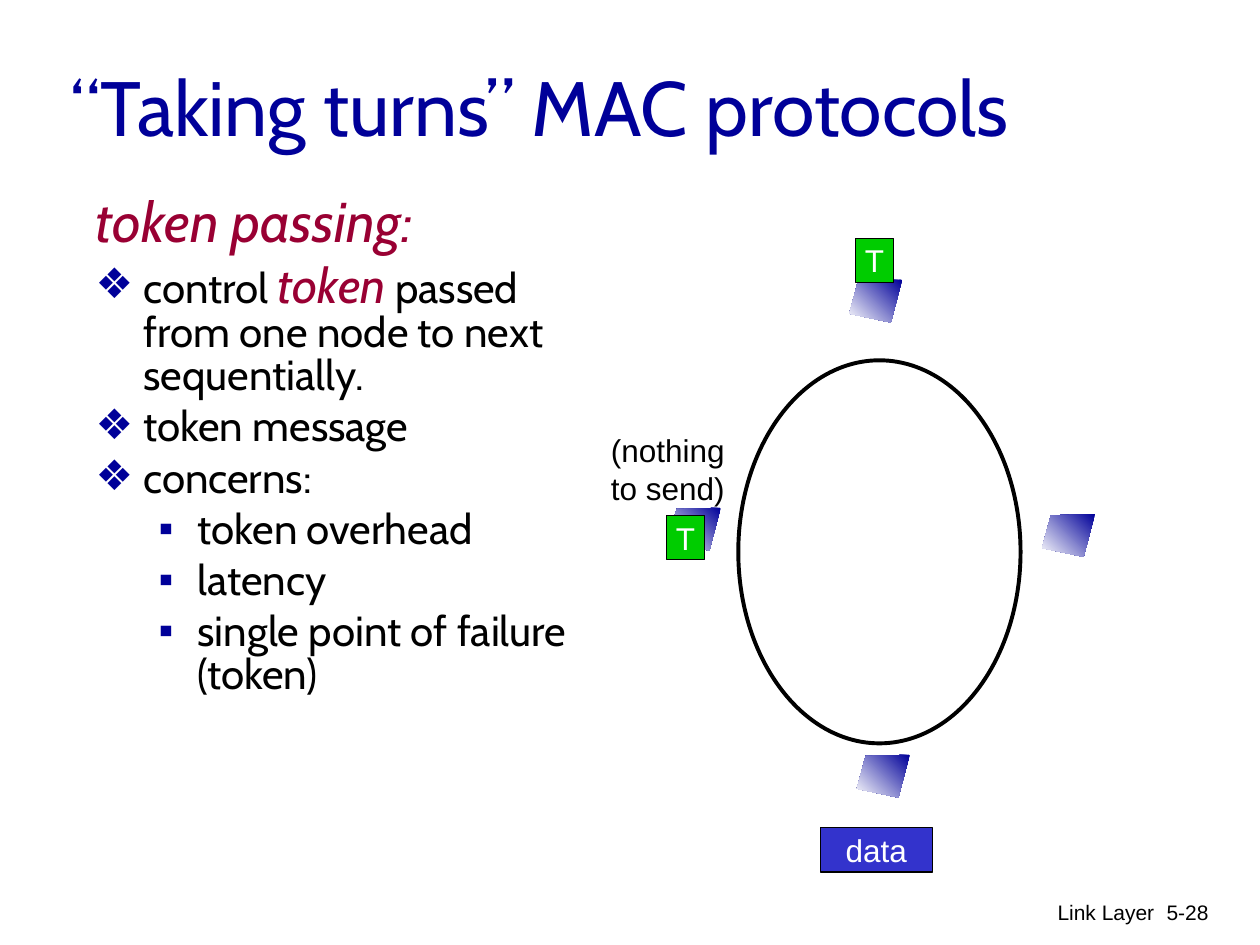
import pptx
import pptx.dml.color
import pptx.enum.shapes
import pptx.enum.text
import pptx.oxml.ns
import pptx.util
from lxml import etree

Inches = pptx.util.Inches
Pt = pptx.util.Pt
RGBColor = pptx.dml.color.RGBColor
Align = pptx.enum.text.PP_ALIGN
Anchor = pptx.enum.text.MSO_ANCHOR
Preset = pptx.enum.shapes.MSO_SHAPE

NAVY = RGBColor(0x00, 0x00, 0x99)
CRIMSON = RGBColor(0x99, 0x00, 0x33)
GREEN = RGBColor(0x00, 0xCC, 0x00)
BLUE = RGBColor(0x33, 0x33, 0xCC)
BLACK = RGBColor(0x00, 0x00, 0x00)
WHITE = RGBColor(0xFF, 0xFF, 0xFF)


class SlideBuilder:
    heading_font = "Cabin"
    label_font = "Arial"
    node_outline = [(0.42, 0), (0.07, 0.01), (0, 0.27), (0.33, 0.34)]

    def __init__(self, slide):
        self.slide = slide

    def run(self, paragraph, text, size, color, font, italic=False):
        run = paragraph.add_run()
        run.text = text
        run.font.size = Pt(size)
        run.font.name = font
        run.font.italic = italic
        run.font.color.rgb = color

    def frame(self, left, top, width, height, anchor=Anchor.TOP):
        box = self.slide.shapes.add_textbox(
            Inches(left), Inches(top), Inches(width), Inches(height))
        box.text_frame.word_wrap = True
        box.text_frame.vertical_anchor = anchor
        return box.text_frame

    def label(self, bounds, lines, size, align=Align.LEFT):
        frame = self.frame(*bounds)
        for index, line in enumerate(lines):
            paragraph = frame.add_paragraph() if index else frame.paragraphs[0]
            paragraph.alignment = align
            self.run(paragraph, line, size, BLACK, self.label_font)

    def title(self, bounds, text):
        frame = self.frame(*bounds, anchor=Anchor.MIDDLE)
        self.run(frame.paragraphs[0], text, 44, NAVY, self.heading_font)

    def bullet(self, paragraph, character, margin, indent):
        properties = paragraph._p.get_or_add_pPr()
        properties.set("marL", str(Inches(margin)))
        properties.set("indent", str(Inches(-indent)))
        qn = pptx.oxml.ns.qn
        if not character:
            etree.SubElement(properties, qn("a:buNone"))
            return
        color = etree.SubElement(properties, qn("a:buClr"))
        etree.SubElement(color, qn("a:srgbClr")).set("val", str(NAVY))
        etree.SubElement(properties, qn("a:buFont")).set("typeface", self.label_font)
        etree.SubElement(properties, qn("a:buChar")).set("char", character)

    def outline(self, bounds, items):
        frame = self.frame(*bounds)
        styles = {"heading": ("", 0.38, 0.38),
                  "point": ("❖", 0.38, 0.38),
                  "detail": ("▪", 0.81, 0.31)}
        for index, (style, space, runs) in enumerate(items):
            paragraph = frame.add_paragraph() if index else frame.paragraphs[0]
            self.bullet(paragraph, *styles[style])
            paragraph.level = 1 if style == "detail" else 0
            paragraph.line_spacing = 0.85
            paragraph.space_before = Pt(space)
            for text, size, color in runs:
                self.run(paragraph, text, size, color, self.heading_font,
                         italic=color == CRIMSON)

    def node(self, left, top):
        points = [(Inches(left + x), Inches(top + y)) for x, y in self.node_outline]
        builder = self.slide.shapes.build_freeform(*points[0], scale=1.0)
        builder.add_line_segments(points[1:], close=True)
        node = builder.convert_to_shape()
        node.shadow.inherit = False
        node.line.fill.background()
        node.fill.gradient()
        node.fill.gradient_angle = 225
        for stop, color, position in zip(node.fill.gradient_stops, (NAVY, WHITE), (0, 1)):
            stop.color.rgb = color
            stop.position = position

    def preset(self, kind, left, top, width, height, line_width):
        shape = self.slide.shapes.add_shape(
            kind, Inches(left), Inches(top), Inches(width), Inches(height))
        shape.shadow.inherit = False
        shape.line.color.rgb = BLACK
        shape.line.width = Pt(line_width)
        return shape

    def ring(self, *bounds):
        self.preset(Preset.OVAL, *bounds, 2.25).fill.background()

    def packet(self, left, top, width, text, color):
        packet = self.preset(Preset.RECTANGLE, left, top, width, 0.35, 0.75)
        packet.fill.solid()
        packet.fill.fore_color.rgb = color
        packet.text_frame.word_wrap = False
        packet.text_frame.vertical_anchor = Anchor.MIDDLE
        paragraph = packet.text_frame.paragraphs[0]
        paragraph.alignment = Align.CENTER
        self.run(paragraph, text, 18, WHITE, self.label_font)


def main():
    deck = pptx.Presentation()
    deck.slide_width = Inches(10)
    deck.slide_height = Inches(7.5)
    builder = SlideBuilder(deck.slides.add_slide(deck.slide_layouts[6]))

    builder.label((6.09, 7.09, 3.17, 0.5), ["Link Layer"], 12, Align.RIGHT)
    builder.label((8.95, 7.09, 0.74, 0.5), ["5-28"], 12, Align.RIGHT)
    for left, top in [(8.27, 4.08), (5.3, 4.03), (6.74, 2.22), (6.8, 5.99)]:
        builder.node(left, top)

    builder.outline((0.66, 1.51, 4.11, 5.08), [
        ("heading", 0, [("token passing:", 32, CRIMSON)]),
        ("point", 5.6, [("control ", 24, BLACK), ("token", 28, CRIMSON),
                        (" passed from one node to next sequentially.", 24, BLACK)]),
        ("point", 4.8, [("token message", 24, BLACK)]),
        ("point", 4.8, [("concerns:", 24, BLACK)]),
        ("detail", 4.8, [("token overhead", 24, BLACK)]),
        ("detail", 4.8, [("latency", 24, BLACK)]),
        ("detail", 4.8, [("single point of failure (token)", 24, BLACK)]),
    ])

    builder.ring(5.86, 2.86, 2.24, 3.04)
    builder.packet(6.79, 1.89, 0.3, "T", GREEN)
    builder.packet(6.51, 6.57, 0.89, "data", BLUE)
    builder.label((4.75, 3.37, 1.1, 0.7), ["(nothing", "to send)"], 18)
    builder.packet(5.29, 4.09, 0.3, "T", GREEN)
    builder.title((0.46, 0.21, 8.5, 1.25), "“Taking turns” MAC protocols")

    deck.save("out.pptx")


if __name__ == "__main__":
    main()
